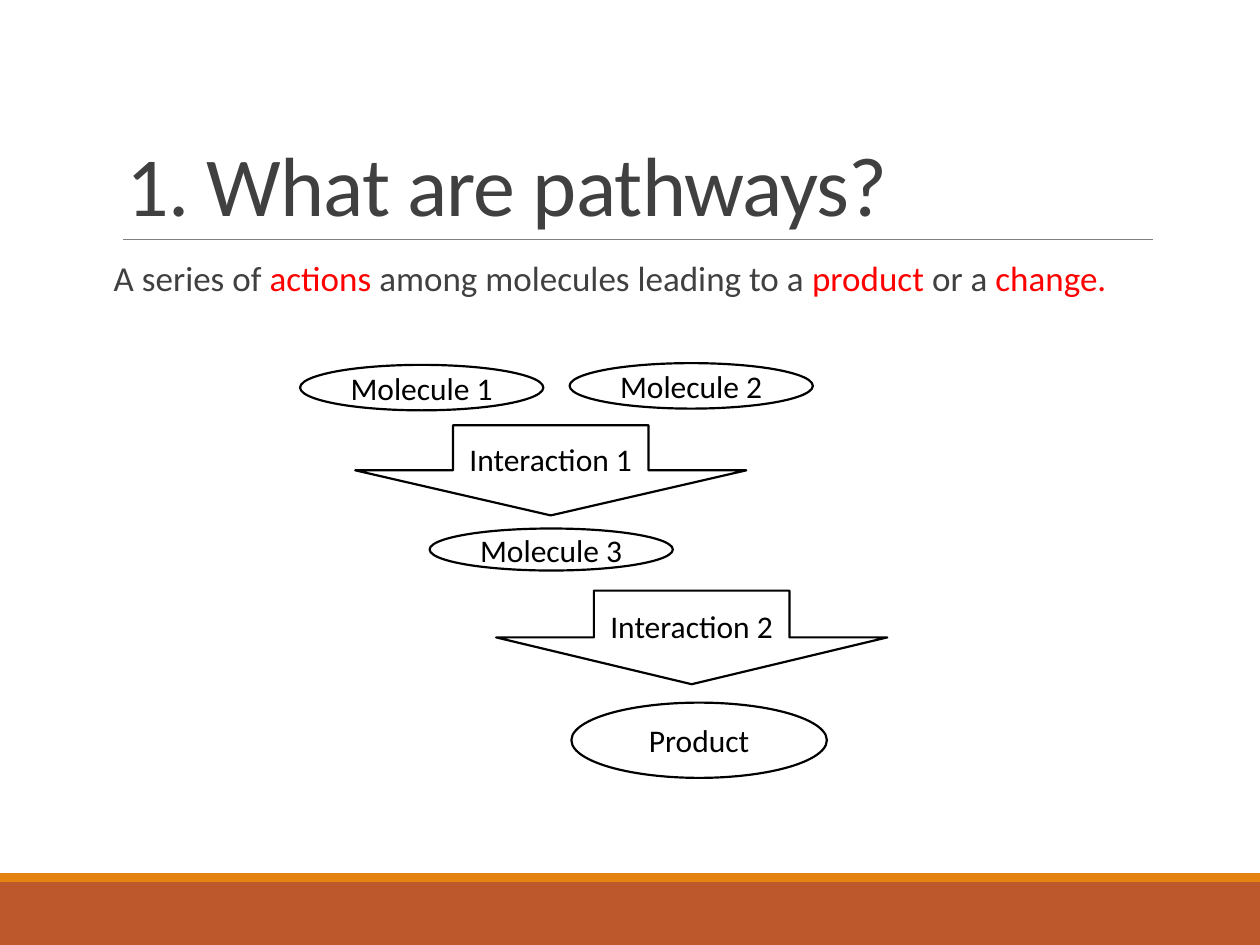
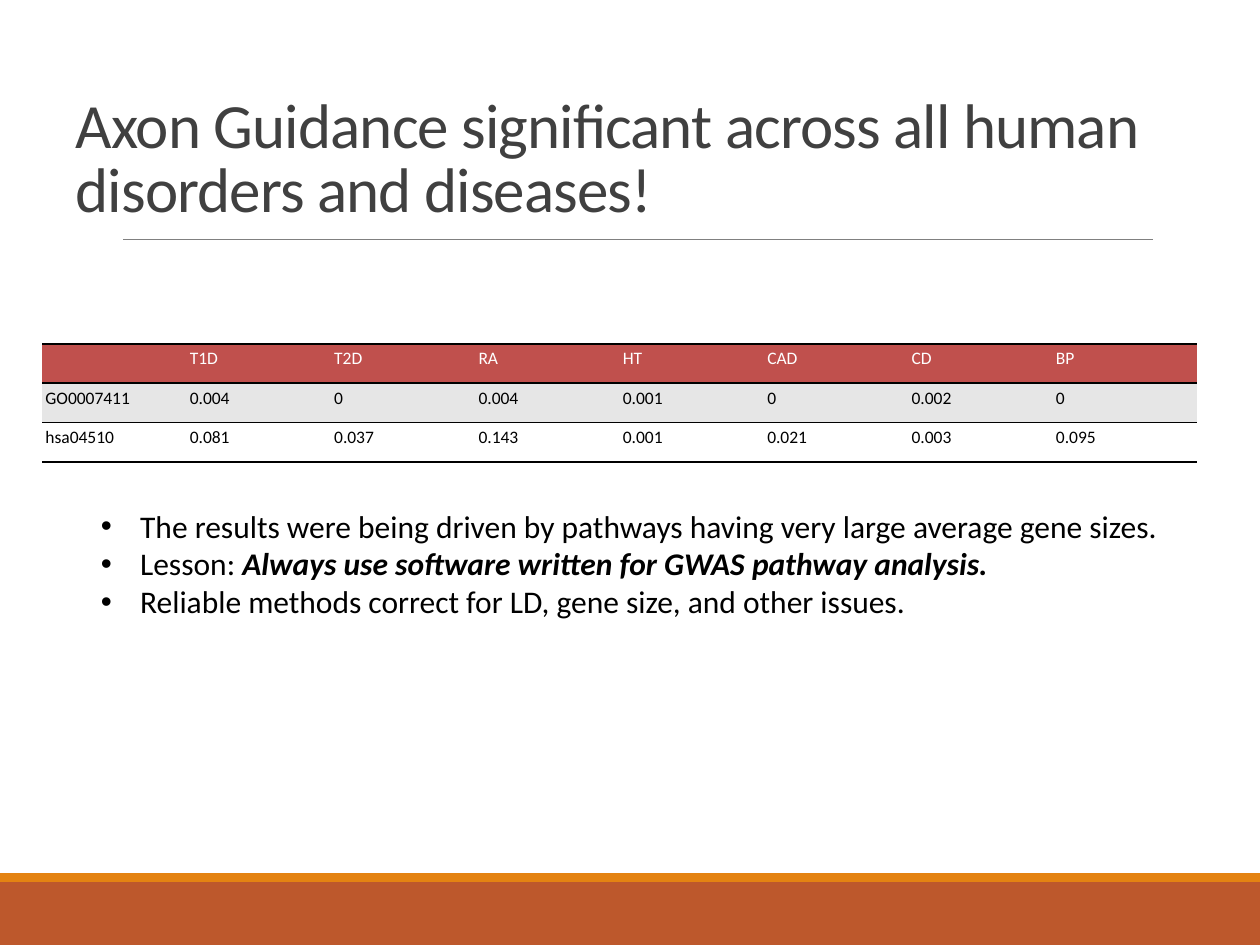
"""Build two slides on biological pathways: a flow of molecules and a table of results."""
from collections import namedtuple

from lxml.etree import SubElement
from pptx import Presentation
from pptx.dml.color import RGBColor
from pptx.enum.shapes import MSO_CONNECTOR, MSO_SHAPE as Preset
from pptx.enum.text import MSO_ANCHOR as Anchor, MSO_AUTO_SIZE as AutoSize, PP_ALIGN as Align
from pptx.oxml.ns import qn
from pptx.util import Pt

Theme = namedtuple(
    "Theme",
    "font band accent rule title ink paper highlight header stripe "
    "title_size long_title_size lead_size body_size table_size",
)
theme = Theme(
    font="Calibri",
    band=RGBColor(0xBD, 0x58, 0x2C),
    accent=RGBColor(0xE4, 0x83, 0x12),
    rule=RGBColor(0x80, 0x80, 0x80),
    title=RGBColor(0x40, 0x40, 0x40),
    ink=RGBColor(0, 0, 0),
    paper=RGBColor(0xFF, 0xFF, 0xFF),
    highlight=RGBColor(0xFF, 0, 0),
    header=RGBColor(0xC0, 0x50, 0x4D),
    stripe=RGBColor(0xE6, 0xE6, 0xE6),
    title_size=48,
    long_title_size=36,
    lead_size=20,
    body_size=18,
    table_size=10,
)


def write(paragraph, text, size=theme.body_size, color=theme.ink, emphasis=False, tracking=None):
    run = paragraph.add_run()
    run.text = text
    font = run.font
    font.name, font.size, font.color.rgb = theme.font, Pt(size), color
    font.bold = font.italic = emphasis
    if tracking is not None:
        run._r.get_or_add_rPr().set("spc", str(round(tracking * 100)))


def add_shape(slide, preset, box, fill, outline=None):
    shape = slide.shapes.add_shape(preset, *map(Pt, box))
    shape.shadow.inherit = False
    shape.fill.solid()
    shape.fill.fore_color.rgb = fill
    if outline is None:
        shape.line.fill.background()
    else:
        shape.line.color.rgb = outline
        shape.line.width = Pt(1.25)
    return shape


presentation = Presentation()
presentation.slide_width, presentation.slide_height = Pt(720), Pt(540)

titles = [
    ("1. What are pathways?", theme.title_size, (65, 22, 594, 115)),
    (
        "Axon Guidance significant across all human disorders and diseases!",
        theme.long_title_size,
        (36, 48, 649, 84.5),
    ),
]
for text, size, box in titles:
    slide = presentation.slides.add_slide(presentation.slide_layouts[5])
    add_shape(slide, Preset.RECTANGLE, (0, 504, 720, 36), theme.band)
    add_shape(slide, Preset.RECTANGLE, (0, 499, 720, 5), theme.accent)
    rule = slide.shapes.add_connector(
        MSO_CONNECTOR.STRAIGHT, Pt(70.5), Pt(136.8), Pt(659), Pt(136.8)
    )
    rule.line.color.rgb = theme.rule
    rule.line.width = Pt(0.5)
    SubElement(rule._element.spPr, qn("a:effectLst"))
    title = slide.shapes.title
    title.left, title.top, title.width, title.height = map(Pt, box)
    frame = title.text_frame
    frame.auto_size = AutoSize.NONE
    frame.word_wrap = True
    frame.vertical_anchor = Anchor.BOTTOM
    paragraph = frame.paragraphs[0]
    paragraph.alignment = Align.LEFT
    paragraph.line_spacing = 0.85
    write(paragraph, text, size=size, color=theme.title, tracking=-0.5)

pathway_slide, results_slide = presentation.slides

definition = pathway_slide.shapes.add_textbox(Pt(65), Pt(145.5), Pt(594), Pt(317))
frame = definition.text_frame
frame.word_wrap = True
frame.margin_left = frame.margin_right = 0
paragraph = frame.paragraphs[0]
paragraph.line_spacing = 0.9
paragraph.space_after = Pt(2)
for text, color in [
    ("A series of ", theme.title),
    ("actions", theme.highlight),
    (" among molecules leading to a ", theme.title),
    ("product ", theme.highlight),
    ("or a ", theme.title),
    ("change.", theme.highlight),
]:
    write(paragraph, text, size=theme.lead_size, color=color)

pathway_steps = [
    ("Molecule 1", Preset.OVAL, (171.5, 208.5, 139, 26)),
    ("Molecule 2", Preset.OVAL, (325.5, 207.5, 139, 26)),
    ("Interaction 1", Preset.DOWN_ARROW, (203, 243, 223.5, 51.5)),
    ("Molecule 3", Preset.OVAL, (245.5, 302, 139, 24)),
    ("Interaction 2", Preset.DOWN_ARROW, (283.5, 337.5, 223.5, 53.5)),
    ("Product", Preset.OVAL, (326.5, 401.5, 146, 43)),
]
for text, preset, box in pathway_steps:
    step = add_shape(pathway_slide, preset, box, theme.paper, theme.ink)
    step.text_frame.vertical_anchor = Anchor.MIDDLE
    paragraph = step.text_frame.paragraphs[0]
    paragraph.alignment = Align.CENTER
    write(paragraph, text)

results = [
    ["", "T1D", "T2D", "RA", "HT", "CAD", "CD", "BP"],
    ["GO0007411", "0.004", "0", "0.004", "0.001", "0", "0.002", "0"],
    ["hsa04510", "0.081", "0.037", "0.143", "0.001", "0.021", "0.003", "0.095"],
]
row_styles = [
    (theme.header, theme.paper, ("a:lnT", "a:lnB")),
    (theme.stripe, theme.ink, ("a:lnT",)),
    (theme.paper, theme.ink, ("a:lnB",)),
]
table = results_slide.shapes.add_table(
    len(results), len(results[0]), Pt(24), Pt(196.5), Pt(660), Pt(67.5)
).table
table._tbl.tblPr.find(qn("a:tableStyleId")).text = "{2D5ABB26-0587-4C30-8999-92F81FD0307C}"
for row, values, (fill, color, borders) in zip(table.rows, results, row_styles):
    row.height = Pt(22.5)
    for cell, value in zip(row.cells, values):
        cell.margin_left = cell.margin_right = cell.margin_top = Pt(2)
        cell.margin_bottom = Pt(1.5)
        properties = cell._tc.get_or_add_tcPr()
        for border in borders:
            line = SubElement(properties, qn(border), w=str(Pt(0.96)))
            line_fill = SubElement(line, qn("a:solidFill"))
            SubElement(line_fill, qn("a:srgbClr"), val=str(theme.ink))
        cell.fill.solid()
        cell.fill.fore_color.rgb = fill
        paragraph = cell.text_frame.paragraphs[0]
        paragraph.line_spacing = 1.04
        if value:
            write(paragraph, value, size=theme.table_size, color=color)
        else:
            SubElement(paragraph._p, qn("a:endParaRPr"), sz=str(theme.table_size * 100))

lessons = [
    [("The results were being driven by pathways having very large average gene sizes.", False)],
    [("Lesson: ", False), ("Always use software written for GWAS pathway analysis.", True)],
    [("Reliable methods correct for LD, gene size, and other issues.", False)],
]
frame = results_slide.shapes.add_textbox(Pt(50.5), Pt(286), Pt(633.5), Pt(73)).text_frame
frame.word_wrap = True
for index, pieces in enumerate(lessons):
    paragraph = frame.add_paragraph() if index else frame.paragraphs[0]
    properties = paragraph._p.get_or_add_pPr()
    properties.set("marL", str(Pt(22.5)))
    properties.set("indent", str(-Pt(22.5)))
    SubElement(properties, qn("a:buFont"), typeface="Arial")
    SubElement(properties, qn("a:buChar"), char="•")
    for text, emphasis in pieces:
        write(paragraph, text, emphasis=emphasis)

presentation.save("out.pptx")
